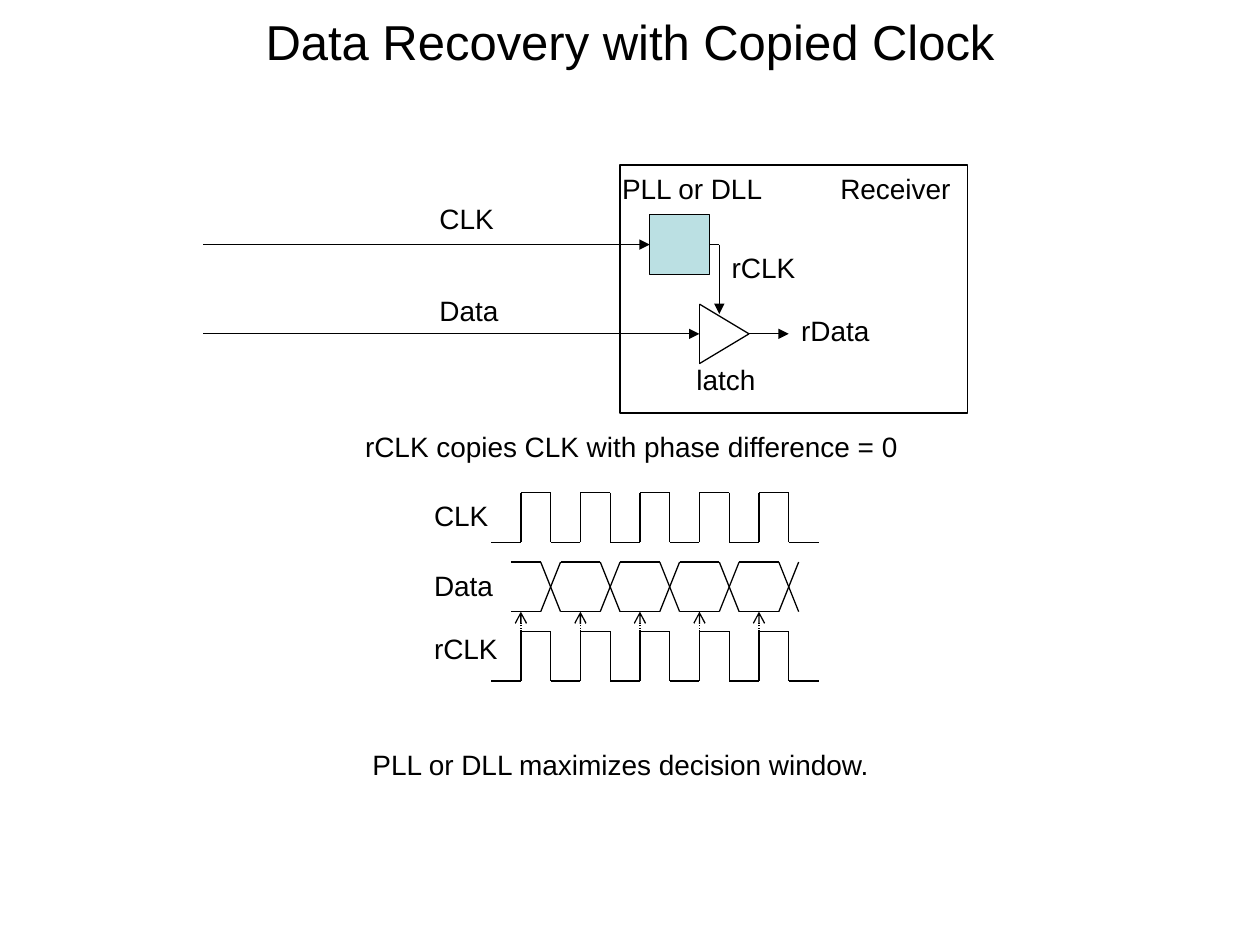
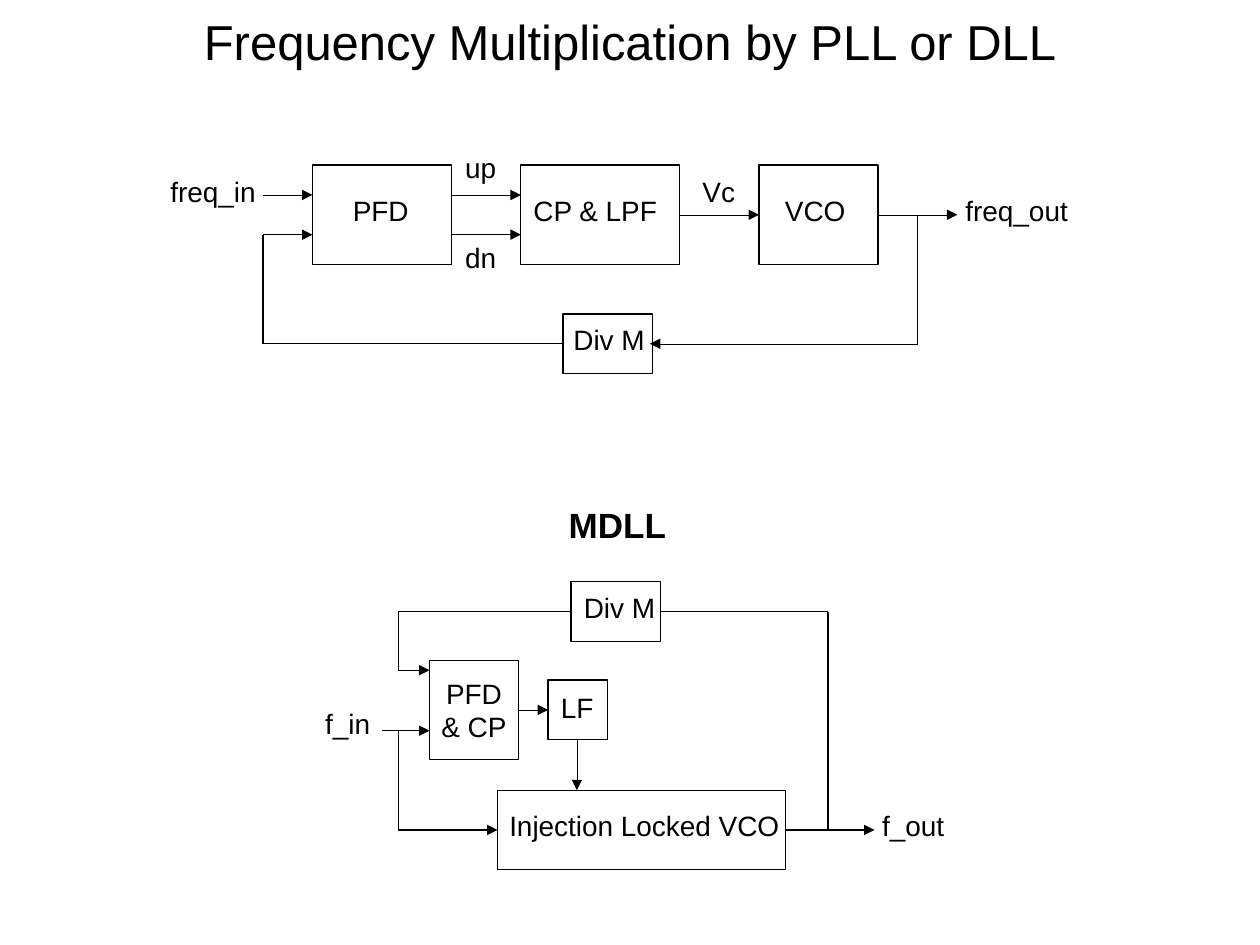
from dataclasses import dataclass
from typing import Any

from lxml import etree
from pptx import Presentation
from pptx.dml.color import RGBColor
from pptx.enum import dml, shapes, text
from pptx.oxml.ns import qn
from pptx.util import Cm, Pt

COLORS = {"ink": "000000", "pll": "BBE0E3"}
FONT = "Arial"
LEFT, CENTER = text.PP_ALIGN.LEFT, text.PP_ALIGN.CENTER
THIN, NORMAL = 0.25, 0.75


def color(name):
    return RGBColor.from_string(COLORS[name])


@dataclass
class Region:
    """Draws on a slide, in centimetres from its own top left corner."""
    slide: Any
    x: float = 0
    y: float = 0

    def line(self, x1, y1, x2, y2, arrow=None, width=NORMAL, dash=None):
        c = self.slide.shapes.add_connector(
            shapes.MSO_CONNECTOR.STRAIGHT,
            Cm(self.x + x1), Cm(self.y + y1), Cm(self.x + x2), Cm(self.y + y2))
        c.line.color.rgb = color("ink")
        c.line.width = Pt(width)
        if dash:
            c.line.dash_style = dash
        if arrow:
            etree.SubElement(c.line._get_or_add_ln(), qn("a:tailEnd"), type=arrow)
        etree.SubElement(c._element.spPr, qn("a:effectLst"))

    def arrow(self, x1, y1, x2, y2, width=NORMAL):
        self.line(x1, y1, x2, y2, "triangle", width)

    def path_through(self, *points):
        for start, end in zip(points, points[1:]):
            self.line(*start, *end)

    def box(self, x, y, w, h, fill=None):
        sp = self.slide.shapes.add_shape(
            shapes.MSO_SHAPE.RECTANGLE,
            Cm(self.x + x), Cm(self.y + y), Cm(w), Cm(h))
        sp.shadow.inherit = False
        if fill:
            sp.fill.solid()
            sp.fill.fore_color.rgb = color(fill)
        else:
            sp.fill.background()
        sp.line.color.rgb = color("ink")
        sp.line.width = Pt(NORMAL)

    def label(self, words, x, y, w, h=0.94, align=LEFT, size=16, bold=False, wrap=False):
        tb = self.slide.shapes.add_textbox(
            Cm(self.x + x), Cm(self.y + y), Cm(w), Cm(h))
        tf = tb.text_frame
        tf.text = words
        tf.word_wrap = wrap
        tf.auto_size = text.MSO_AUTO_SIZE.SHAPE_TO_FIT_TEXT
        for p in tf.paragraphs:
            p.alignment = align
            for r in p.runs:
                r.font.name = FONT
                r.font.size = Pt(size)
                r.font.bold = bold
                r.font.color.rgb = color("ink")


def add_titled_slide(prs, title):
    slide = prs.slides.add_slide(prs.slide_layouts[6])
    Region(slide).label(title, 0, 0.1, 25.4, 1.45, CENTER, 28, wrap=True)
    return slide


def receiver_diagram(slide, x, y):
    d = Region(slide, x, y)
    clk_y, data_y = 1.6, 3.4
    d.box(8.4, 0, 7, 5)
    d.box(9, clk_y - 0.6, 1.2, 1.2, "pll")
    d.path_through((10, data_y - 0.6), (11, data_y), (10, data_y + 0.6), (10, data_y - 0.6))
    d.arrow(0, clk_y, 9, clk_y)
    d.arrow(0, data_y, 10, data_y)
    d.line(10.2, clk_y, 10.4, clk_y)
    d.arrow(10.4, clk_y, 10.4, 3)
    d.arrow(11, data_y, 11.8, data_y)
    for words, lx, ly, w in (
            ("CLK", 4.51, 0.61, 1.6), ("Data", 4.51, 2.46, 1.7),
            ("rCLK", 10.4, 1.6, 1.8), ("PLL or DLL", 8.19, 0, 3.35),
            ("latch", 9.69, 3.86, 1.7), ("rData", 11.8, 2.87, 1.88),
            ("Receiver", 12.59, 0, 2.74)):
        d.label(words, lx, ly, w)


def timing_diagram(slide, x, y, cycles=5):
    d = Region(slide, x, y)
    half, period, high = 0.6, 1.2, 1.0
    wave_x, data_y, rclk_y = 1.4, 1.4, 2.8
    for words, ly, w in (("CLK", 0, 1.6), ("Data", data_y, 1.7), ("rCLK", 2.67, 1.8)):
        d.label(words, 0, ly, w)

    for top in (0, rclk_y):
        low = top + high
        d.line(wave_x, low, wave_x + half, low)
        for i in range(cycles):
            rise = wave_x + half + i * period
            fall = rise + half
            d.path_through((rise, low), (rise, top), (fall, top),
                           (fall, low), (fall + half, low))

    data_low = data_y + high
    for i in range(cycles):
        edge = wave_x + half + i * period
        cross = edge + 0.4
        start = edge - (0.4 if i else 0.2)
        for near, far in ((data_y, data_low), (data_low, data_y)):
            d.path_through((start, near), (cross, near), (cross + 0.4, far))
        d.line(edge, rclk_y, edge, data_low, "arrow", dash=dml.MSO_LINE.ROUND_DOT)


def pll_loop(slide, x, y):
    d = Region(slide, x, y)
    upper, middle, lower, feedback = 0.6, 1.0, 1.4, 3.6
    for bx, w in ((3.4, 2.8), (7.6, 3.2), (12.4, 2.4)):
        d.box(bx, 0, w, 2)
    d.box(8.45, feedback - 0.6, 1.8, 1.2)
    for x1, x2, ly in ((2.4, 3.4, upper), (2.4, 3.4, lower),
                       (6.2, 7.6, upper), (6.2, 7.6, lower),
                       (10.8, 12.4, middle), (14.8, 16.4, middle),
                       (15.6, 10.2, feedback)):
        d.arrow(x1, ly, x2, ly, THIN)
    d.line(15.6, middle, 15.6, feedback)
    d.path_through((8.45, feedback), (2.4, feedback), (2.4, lower))
    for words, lx, ly, w in (
            ("freq_in", 0, 0.07, 2.79), ("PFD", 3.96, 0.45, 1.63),
            ("up", 5.99, -0.41, 1.6), ("dn", 5.99, 1.39, 1.6),
            ("CP & LPF", 7.59, 0.45, 3.02), ("Vc", 10.79, 0.07, 1.6),
            ("VCO", 12.67, 0.45, 1.73), ("freq_out", 15.79, 0.45, 3.61),
            ("Div M", 8.4, 3.05, 1.96)):
        d.label(words, lx, ly, w, align=CENTER)


def mdll_loop(slide, x, y):
    d = Region(slide, x, y)
    tap_in, tap_out = 1.73, 10.39
    div_y, feedback_y, lf_y, in_y, vco_y = 2.3, 3.48, 4.28, 4.7, 6.7
    d.label("MDLL", 4.9, 0, 2.49, 1.12, CENTER, 20, True)
    d.box(5.21, div_y - 0.6, 1.8, 1.2)
    d.box(2.36, lf_y - 1, 1.8, 2)
    d.box(4.75, lf_y - 0.6, 1.2, 1.2)
    d.box(3.73, vco_y - 0.8, 5.8, 1.6)
    d.arrow(1.4, in_y, 2.36, in_y, THIN)
    d.arrow(tap_in, feedback_y, 2.36, feedback_y, THIN)
    d.arrow(4.16, lf_y, 4.75, lf_y, THIN)
    d.arrow(5.33, lf_y + 0.6, 5.33, vco_y - 0.8, THIN)
    d.line(tap_in, in_y, tap_in, vco_y)
    d.arrow(tap_in, vco_y, 3.73, vco_y)
    d.arrow(9.53, vco_y, 11.33, vco_y)
    d.path_through((tap_out, vco_y), (tap_out, div_y), (7.01, div_y))
    d.path_through((5.21, div_y), (tap_in, div_y), (tap_in, feedback_y))
    for words, lx, ly, w, h in (
            ("f_in", 0, 4.09, 1.42, 0.94), ("PFD\n& CP", 2.34, 3.48, 1.83, 1.63),
            ("LF", 4.75, 3.76, 1.17, 0.94), ("Div M", 5.21, 1.76, 1.96, 0.94),
            ("Injection Locked VCO", 3.68, 6.15, 6.02, 0.94),
            ("f_out", 11.22, 6.15, 1.78, 0.94)):
        d.label(words, lx, ly, w, h, CENTER)


def main():
    prs = Presentation()
    prs.slide_width, prs.slide_height = Cm(25.4), Cm(19.05)

    slide = add_titled_slide(prs, "Data Recovery with Copied Clock")
    receiver_diagram(slide, 4.1, 3.33)
    timing_diagram(slide, 8.5, 9.93)
    captions = Region(slide)
    captions.label("rCLK copies CLK with phase difference = 0", 7.11, 8.53, 11.28)
    captions.label("PLL or DLL maximizes decision window.", 7.26, 14.94, 10.59)

    slide = add_titled_slide(prs, "Frequency Multiplication by PLL or DLL")
    pll_loop(slide, 2.9, 3.33)
    mdll_loop(slide, 6.3, 10.03)

    prs.save("out.pptx")


if __name__ == "__main__":
    main()
